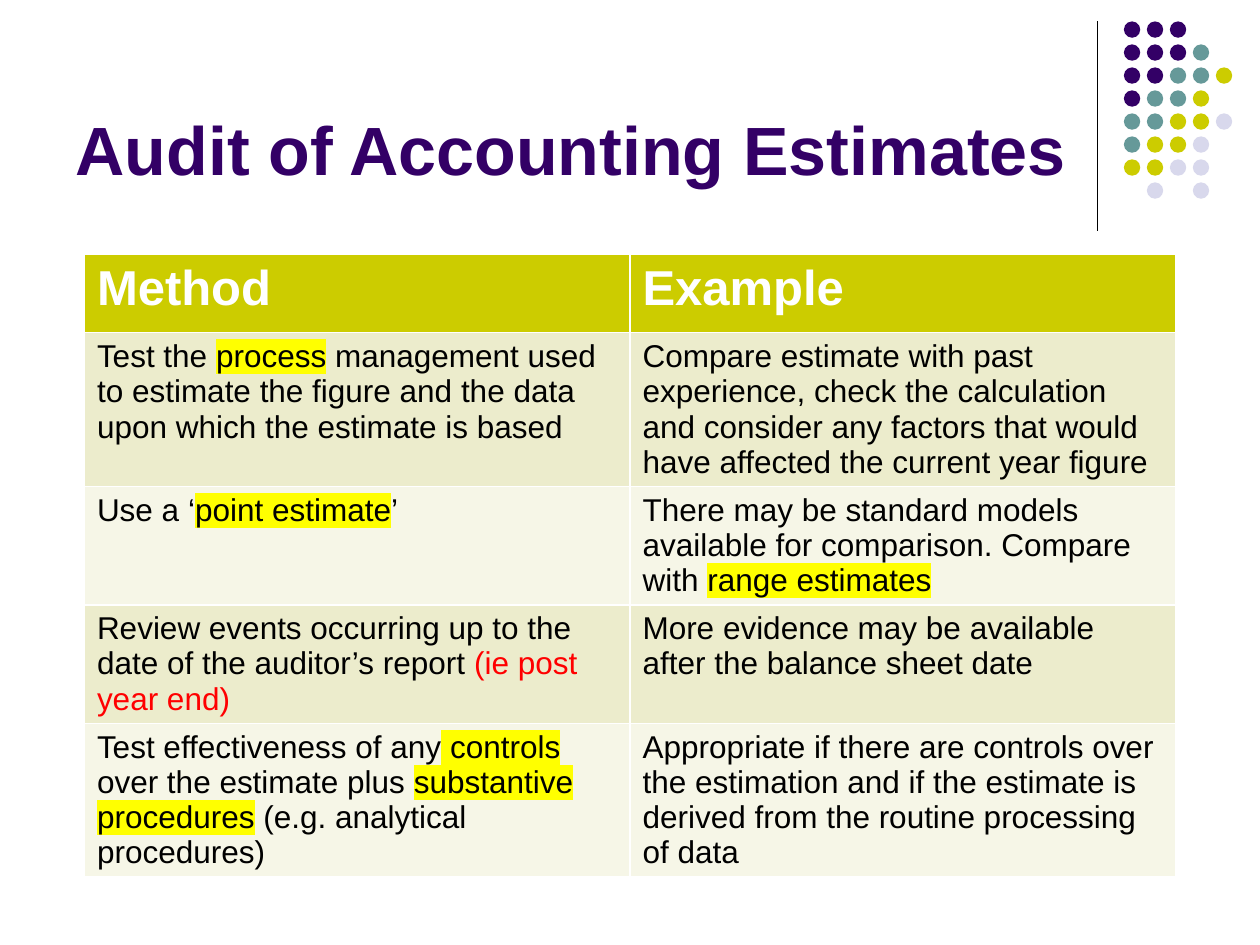
from pptx import Presentation
from pptx import util as u
from pptx.dml.color import RGBColor
from pptx.enum import shapes, text
from pptx.oxml import xmlchemy as xml
from pptx.oxml.ns import qn
from lxml import etree

HUES = {
    "plum": "330066", "teal": "669999", "lime": "CCCC00", "pale": "D8D8EC",
    "dark": "ECECCC", "light": "F6F6E7", "black": "000000", "white": "FFFFFF",
    "red": "FF0000", "mark": "FFFF00",
}
DOTS = ["PPP", "PPPT", "PPTTL", "PTTL", "TTLLA", "TLLA", "LLAA", " A A"]
KEYS = {"P": "plum", "T": "teal", "L": "lime", "A": "pale"}
HEAD = {"size": u.Pt(28), "bold": True, "name": "Arial"}
BODY = {"size": u.Pt(18), "bold": False, "name": "Arial"}
TITLE = {"size": u.Pt(39), "bold": True, "name": "Arial"}
ROWS = [
    (0.62, [("Method", "white")], [("Example", "white")]),
    (1.22,
     [("Test the ", "black"), ("process", "mark"),
      (" management used to estimate the figure and the data "
       "upon which the estimate is based", "black")],
     [("Compare estimate with past experience, check the calculation and "
       "consider any factors that would have affected the current year figure",
       "black")]),
    (0.94,
     [("Use a ‘", "black"), ("point estimate", "mark"), ("’", "black")],
     [("There may be standard models available for comparison. Compare with ",
       "black"), ("range estimates", "mark")]),
    (0.94,
     [("Review events occurring up to the date of the auditor’s report ",
       "black"), ("(ie post year end)", "red")],
     [("More evidence may be available after the balance sheet date",
       "black")]),
    (1.22,
     [("Test effectiveness of any", "black"), (" controls ", "mark"),
      ("over the estimate plus ", "black"),
      ("substantive procedures", "mark"),
      (" (e.g. analytical procedures)", "black")],
     [("Appropriate if there are controls over the estimation and if the "
       "estimate is derived from the routine processing of data", "black")]),
]


def hue(key):
    return RGBColor.from_string(HUES[key])


def put(item, form):
    for key, val in form.items():
        setattr(item, key, val)


def paint(item, key):
    item.fill.solid()
    item.fill.fore_color.rgb = hue(key)


def mark(run):
    props = run.font._element if hasattr(run.font, "_element") else run._r.get_or_add_rPr()
    glow = etree.Element(qn("a:highlight"))
    etree.SubElement(glow, qn("a:srgbClr"), val=HUES["mark"])
    props.find(qn("a:latin")).addprevious(glow)


def write(para, words, key, form):
    run = para.add_run()
    run.text = words
    put(run.font, form)
    run.font.color.rgb = hue("black" if key == "mark" else key)
    if key == "mark":
        mark(run)


def title(slide):
    box = slide.shapes.title
    put(box, {"left": u.Inches(0.5), "top": u.Inches(0.13),
              "width": u.Inches(8.25), "height": u.Inches(1.42)})
    put(box.text_frame, {"vertical_anchor": text.MSO_ANCHOR.BOTTOM,
                         "word_wrap": True,
                         "auto_size": text.MSO_AUTO_SIZE.NONE})
    para = box.text_frame.paragraphs[0]
    para.alignment = text.PP_ALIGN.LEFT
    write(para, "Audit of Accounting Estimates", "plum", TITLE)


def rule(slide):
    x = u.Inches(8.71)
    line = slide.shapes.add_connector(
        shapes.MSO_CONNECTOR.STRAIGHT, x, u.Inches(0.17), x, u.Inches(1.83))
    line.line.width = u.Pt(0.75)
    line.line.color.rgb = hue("black")
    etree.SubElement(line._element.spPr, qn("a:effectLst"))


def dots(slide):
    group = slide.shapes.add_group_shape()
    step = 0.73 / 4
    side = u.Inches(0.13)
    for row, keys in enumerate(DOTS):
        for col, key in enumerate(keys):
            if key in KEYS:
                dot = group.shapes.add_shape(
                    shapes.MSO_SHAPE.OVAL, u.Inches(8.92 + col * step),
                    u.Inches(0.17 + row * step), side, side)
                paint(dot, KEYS[key])
                dot.line.fill.background()
                dot.shadow.inherit = False


def table(slide):
    high = sum(row[0] for row in ROWS)
    grid = slide.shapes.add_table(
        len(ROWS), 2, u.Inches(0.67), u.Inches(2.02),
        u.Inches(8.66), u.Inches(high)).table
    for i, (tall, *cells) in enumerate(ROWS):
        grid.rows[i].height = u.Inches(tall)
        fill = "lime" if i == 0 else ("light", "dark")[i % 2]
        for j, runs in enumerate(cells):
            cell = grid.cell(i, j)
            paint(cell, fill)
            for words, key in runs:
                write(cell.text_frame.paragraphs[0], words, key,
                      BODY if i else HEAD)


def main():
    deck = Presentation()
    put(deck, {"slide_width": u.Inches(10), "slide_height": u.Inches(7.5)})
    slide = deck.slides.add_slide(deck.slide_layouts[5])
    rule(slide)
    dots(slide)
    title(slide)
    table(slide)
    deck.save("out.pptx")


main()
